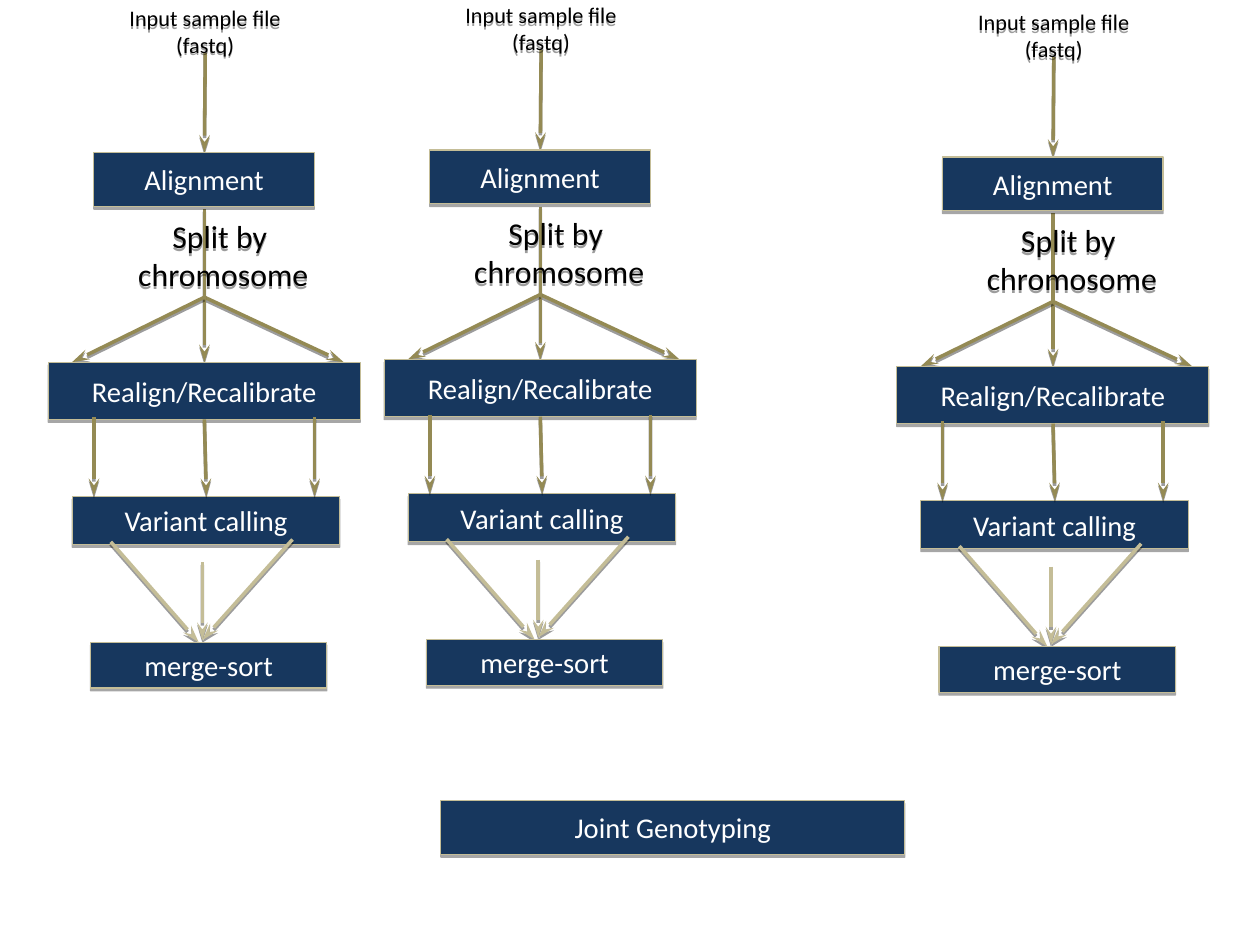
from dataclasses import dataclass
from typing import Any

import lxml.etree
import pptx
import pptx.dml.color
import pptx.enum.shapes
import pptx.enum.text
import pptx.oxml.ns
import pptx.util

Pt = pptx.util.Pt
qn = pptx.oxml.ns.qn


@dataclass(frozen=True)
class Theme:
    navy: str = "17375E"
    olive: str = "948A54"
    sand: str = "C4BD97"
    black: str = "000000"
    white: str = "FFFFFF"
    font: str = "Calibri"
    input_size: float = 14
    box_size: float = 18
    split_size: float = 20
    border: float = 0.75
    arrow: float = 2.25


@dataclass(frozen=True)
class Lane:
    x: float  # centre line
    y: float  # vertical shift


@dataclass(frozen=True)
class Block:
    lines: tuple[str, ...]
    dx: float  # centre, measured from the lane's centre line
    top: float
    width: float
    height: float
    size: float
    filled: bool = True


@dataclass(frozen=True)
class Arrow:
    x1: float
    y1: float
    x2: float
    y2: float


THEME = Theme()
LANES = [Lane(128.8, 0), Lane(340.4, -1.7), Lane(663.4, 2.7)]

SPLIT_LABEL = Block(("Split by ", "chromosome"), 11.9, 127.4, 239.8, 66.3,
                    THEME.split_size, filled=False)
INPUT_LABEL = Block(("Input sample file (fastq)",), 0.4, 5.8, 123.1, 27.4,
                    THEME.input_size, filled=False)
REALIGN = Block(("Realign/Recalibrate",), -0.1, 228.2, 196.6, 36, THEME.box_size)
VARIANT = Block(("Variant calling",), 1, 312.6, 168.5, 30.4, THEME.box_size)
ALIGNMENT = Block(("Alignment",), -0.2, 96.2, 139, 33.8, THEME.box_size)
MERGE = Block(("merge-sort",), 2.7, 404.6, 149, 28.8, THEME.box_size)
JOINT = Block(("Joint Genotyping",), 0, 504.4, 292.3, 33.8, THEME.box_size)
JOINT_LANE = Lane(423.9, 0)

SPLIT_ARROWS = [Arrow(0, 187.2, 87.8, 228.2), Arrow(0, 131.8, 0, 228.2),
                Arrow(0, 187.2, -83.5, 228.2)]
DOWN_ARROWS = [Arrow(69.4, 262.8, 69.4, 312.5), Arrow(-69.6, 262.8, -69.6, 312.5),
               Arrow(0, 264.2, 1.2, 312.5), Arrow(0.5, 33.1, 0, 96.2)]
MERGE_ARROWS = [Arrow(-59, 341.3, -3.6, 404.6), Arrow(-1.3, 354.2, -1.3, 403.2),
                Arrow(55.5, 339.8, -1.3, 403.2)]


def rgb(code: str) -> pptx.dml.color.RGBColor:
    return pptx.dml.color.RGBColor.from_string(code)


def add_shadow(sp: Any, opacity: int, distance: float) -> None:
    """Give a shape a crisp shadow straight below it."""
    effects = lxml.etree.SubElement(sp.element.spPr, qn("a:effectLst"))
    shadow = lxml.etree.SubElement(effects, qn("a:outerShdw"), blurRad="0",
                                   dist=str(int(Pt(distance))), dir="5400000",
                                   rotWithShape="0")
    color = lxml.etree.SubElement(shadow, qn("a:srgbClr"), val=THEME.black)
    lxml.etree.SubElement(color, qn("a:alpha"), val=str(opacity * 1000))


def add_arrow(shapes: Any, lane: Lane, arrow: Arrow, color: str) -> None:
    sp = shapes.add_connector(
        pptx.enum.shapes.MSO_CONNECTOR.STRAIGHT,
        Pt(lane.x + arrow.x1), Pt(lane.y + arrow.y1),
        Pt(lane.x + arrow.x2), Pt(lane.y + arrow.y2))
    sp.line.color.rgb = rgb(color)
    sp.line.width = Pt(THEME.arrow)
    lxml.etree.SubElement(sp.element.spPr.find(qn("a:ln")), qn("a:tailEnd"),
                          type="stealth", w="med", len="lg")
    add_shadow(sp, 38, 1.6)


def add_block(shapes: Any, lane: Lane, block: Block) -> None:
    place = (Pt(lane.x + block.dx - block.width / 2), Pt(lane.y + block.top),
             Pt(block.width), Pt(block.height))
    if block.filled:
        sp = shapes.add_shape(pptx.enum.shapes.MSO_SHAPE.RECTANGLE, *place)
        sp.fill.solid()
        sp.fill.fore_color.rgb = rgb(THEME.navy)
        sp.line.color.rgb = rgb(THEME.sand)
        sp.line.width = Pt(THEME.border)
        add_shadow(sp, 35, 1.8)
    else:
        sp = shapes.add_textbox(*place)
        add_shadow(sp, 38, 1.6)

    tf = sp.text_frame
    tf.word_wrap = True
    tf.vertical_anchor = pptx.enum.text.MSO_ANCHOR.MIDDLE
    for i, line in enumerate(block.lines):
        p = tf.add_paragraph() if i else tf.paragraphs[0]
        p.alignment = pptx.enum.text.PP_ALIGN.CENTER
        r = p.add_run()
        r.text = line
        r.font.name = THEME.font
        r.font.size = Pt(block.size)
        r.font.color.rgb = rgb(THEME.white if block.filled else THEME.black)


def add_lane(shapes: Any, lane: Lane) -> None:
    # Split by chromosome
    for arrow in SPLIT_ARROWS:
        add_arrow(shapes, lane, arrow, THEME.olive)
    for block in (SPLIT_LABEL, REALIGN, VARIANT):
        add_block(shapes, lane, block)

    # Steps down the lane
    for arrow in DOWN_ARROWS:
        add_arrow(shapes, lane, arrow, THEME.olive)

    # Arrows meeting at merge-sort
    group = shapes.add_group_shape()
    for arrow in MERGE_ARROWS:
        add_arrow(group.shapes, lane, arrow, THEME.sand)
    for block in (ALIGNMENT, MERGE, INPUT_LABEL):
        add_block(shapes, lane, block)


def main() -> None:
    prs = pptx.Presentation()
    prs.slide_width, prs.slide_height = Pt(793.75), Pt(595.25)
    s = prs.slides.add_slide(prs.slide_layouts[6])

    # One lane per sample, then the shared last step
    for lane in LANES:
        add_lane(s.shapes, lane)
    add_block(s.shapes, JOINT_LANE, JOINT)
    prs.save("out.pptx")


if __name__ == "__main__":
    main()
